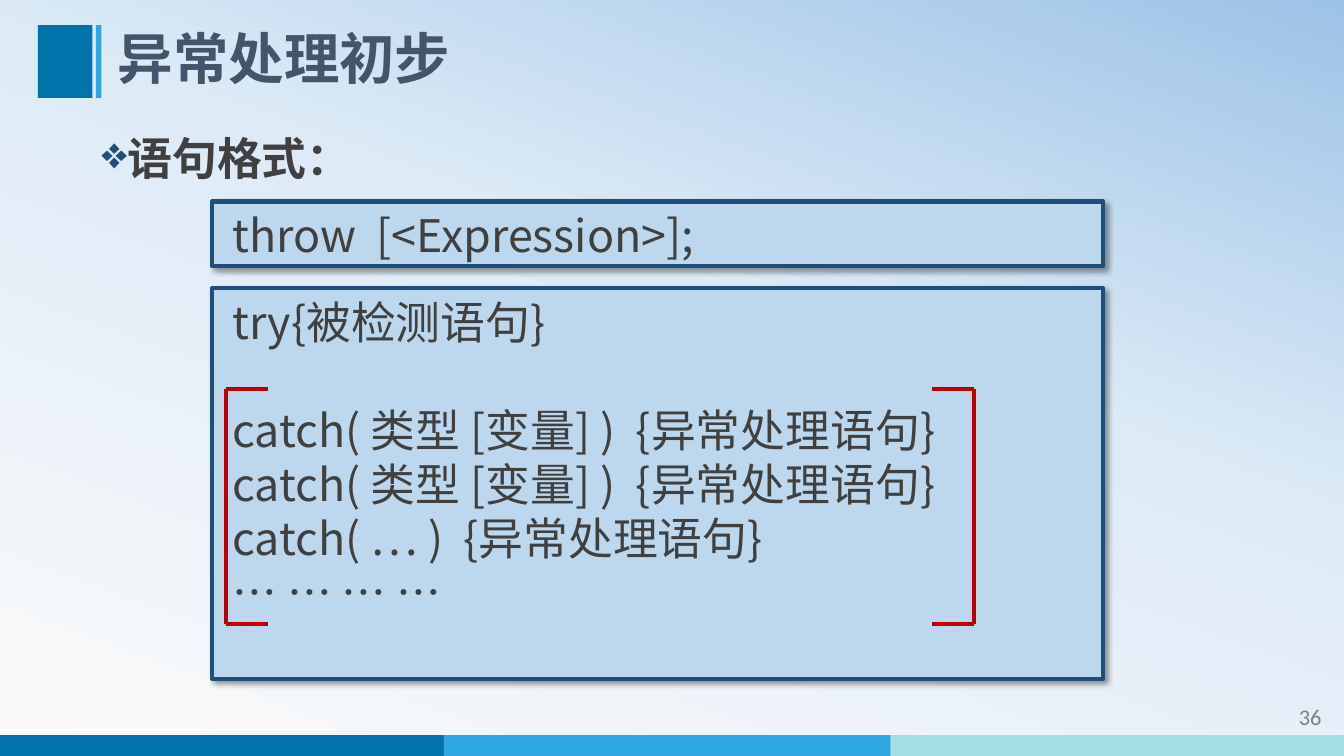
from dataclasses import dataclass
from lxml.etree import SubElement
from pptx import Presentation
from pptx.dml.color import RGBColor
from pptx.enum.shapes import MSO_CONNECTOR, MSO_SHAPE
from pptx.enum.text import MSO_ANCHOR, PP_ALIGN
from pptx.oxml.ns import qn
from pptx.util import Pt


@dataclass(frozen=True)
class Theme:
    """Colours, fonts and type sizes."""
    deep: str = "0073AB"
    bright: str = "2EA7E0"
    pale: str = "A5DEE4"
    navy: str = "1F4E79"
    panel: str = "BDD7EE"
    red: str = "C00000"
    title: str = "44546A"
    body: str = "404040"
    grey: str = "808080"
    shadow: str = "000000"
    font: str = "Noto Sans CJK SC"
    number_font: str = "Calibri"
    title_size: float = 39.6
    body_size: float = 32
    number_size: float = 16
    body_pitch: float = 38.6
    backdrop: tuple = ((0, "FAFAFA"), (58, "DEEBF7"), (100, "9DC3E6"))


T = Theme()


@dataclass(frozen=True)
class Box:
    """Place of an element, in points."""
    x: float
    y: float
    w: float
    h: float


@dataclass(frozen=True)
class Block:
    """Filled rectangle."""
    box: Box
    color: str


@dataclass(frozen=True)
class Style:
    """Character format of a text."""
    size: float
    color: str
    bold: bool = False
    font: str = T.font


@dataclass(frozen=True)
class Panel:
    """Framed code panel with a gap after its first line."""
    box: Box
    lines: tuple
    gap: float = 0


@dataclass(frozen=True)
class Bracket:
    """Square bracket made of a spine and two arms."""
    spine: float
    arm: float
    top: float = 278
    bottom: float = 446


TITLE = Style(T.title_size, T.title, True)
HEADING = Style(T.body_size, T.body, True)
CODE = Style(T.body_size, T.body)
NUMBER = Style(T.number_size, T.grey, font=T.number_font)

BLOCKS = (
    Block(Box(-2, 525, 324, 15), T.deep),
    Block(Box(317, 525, 324, 15), T.bright),
    Block(Box(636, 525, 324, 15), T.pale),
    Block(Box(27, 18, 39, 52), T.deep),
    Block(Box(68.5, 18, 4, 52), T.bright),
)
CATCH = "catch( 类型 [变量] )  {异常处理语句}"
PANELS = (
    Panel(Box(151.5, 144, 636.5, 46), ("throw  [<Expression>];",)),
    Panel(Box(151.5, 206, 636.5, 279),
          ("try{被检测语句}", CATCH, CATCH, "catch( … )  {异常处理语句}", "… … … …"),
          T.body_pitch),
)
BRACKETS = (Bracket(161.5, 191.5), Bracket(695.5, 665.5))


def apply(obj, fmt: dict) -> None:
    """Set each format value on an object."""
    for name, value in fmt.items():
        setattr(obj, name, value)


def add_color(parent, color: str):
    """Append an RGB colour element."""
    return SubElement(parent, qn("a:srgbClr"), val=color)


def write(p, text: str, style: Style, **fmt) -> None:
    """Write one formatted run into a paragraph."""
    apply(p, fmt)
    r = p.add_run()
    r.text = text
    apply(r.font, {"name": style.font, "size": Pt(style.size), "bold": style.bold})
    r.font.color.rgb = RGBColor.from_string(style.color)
    SubElement(r.font._element, qn("a:ea"), typeface=style.font)


def add_text(s, box: Box, anchor: MSO_ANCHOR):
    """Add a wrapping text box and return its first paragraph."""
    sp = s.shapes.add_textbox(Pt(box.x), Pt(box.y), Pt(box.w), Pt(box.h))
    apply(sp.text_frame, {"word_wrap": True, "vertical_anchor": anchor})
    return sp.text_frame.paragraphs[0]


def add_block(s, block: Block):
    """Add a flat filled rectangle."""
    b = block.box
    sp = s.shapes.add_shape(MSO_SHAPE.RECTANGLE, Pt(b.x), Pt(b.y), Pt(b.w), Pt(b.h))
    sp.shadow.inherit = False
    sp.fill.solid()
    sp.fill.fore_color.rgb = RGBColor.from_string(block.color)
    sp.line.fill.background()
    return sp


def add_panel(s, panel: Panel) -> None:
    """Add a framed panel with a soft shadow and code lines."""
    sp = add_block(s, Block(panel.box, T.panel))
    sp.line.color.rgb = RGBColor.from_string(T.navy)
    sp.line.width = Pt(3)
    effects = sp._element.spPr.find(qn("a:effectLst"))
    shadow = SubElement(effects, qn("a:outerShdw"), blurRad=str(Pt(4)),
                        dist=str(Pt(3)), dir="2700000", algn="tl", rotWithShape="0")
    SubElement(add_color(shadow, T.shadow), qn("a:alpha"), val="40000")
    tf = sp.text_frame
    apply(tf, {"word_wrap": True, "vertical_anchor": MSO_ANCHOR.TOP,
               "margin_left": Pt(14.4), "margin_top": Pt(4)})
    for i, line in enumerate(panel.lines):
        p = tf.add_paragraph() if i else tf.paragraphs[0]
        write(p, line, CODE, alignment=PP_ALIGN.LEFT, line_spacing=Pt(T.body_pitch),
              space_after=Pt(0 if i else panel.gap))


def add_bracket(s, bracket: Bracket) -> None:
    """Draw a bracket with three connectors."""
    b = bracket
    points = ((b.arm, b.top), (b.spine, b.top), (b.spine, b.bottom), (b.arm, b.bottom))
    for (x1, y1), (x2, y2) in zip(points, points[1:]):
        c = s.shapes.add_connector(MSO_CONNECTOR.STRAIGHT, Pt(x1), Pt(y1), Pt(x2), Pt(y2))
        c.line.color.rgb = RGBColor.from_string(T.red)
        c.line.width = Pt(3)
        SubElement(c._element.spPr, qn("a:effectLst"))


def add_backdrop(s) -> None:
    """Fill the background with the theme gradient."""
    s.background.fill.gradient()
    grad = next(s._element.iter(qn("a:gradFill")))
    for child in list(grad):
        grad.remove(child)
    stops = SubElement(grad, qn("a:gsLst"))
    for pos, color in T.backdrop:
        add_color(SubElement(stops, qn("a:gs"), pos=str(pos * 1000)), color)
    SubElement(grad, qn("a:lin"), ang=str(290 * 60000), scaled="0")


def add_heading(s, text: str) -> None:
    """Add the bulleted heading."""
    p = add_text(s, Box(65.5, 89.5, 783, 65), MSO_ANCHOR.TOP)
    pPr = p._p.get_or_add_pPr()
    apply_indent = {"marL": str(Pt(18)), "indent": str(Pt(-18))}
    for name, value in apply_indent.items():
        pPr.set(name, value)
    add_color(SubElement(pPr, qn("a:buClr")), T.navy)
    SubElement(pPr, qn("a:buChar"), char="❖")
    write(p, text, HEADING, line_spacing=Pt(T.body_pitch))


def main() -> None:
    """Build and save the slide."""
    prs = Presentation()
    apply(prs, {"slide_width": Pt(960), "slide_height": Pt(540)})
    s = prs.slides.add_slide(prs.slide_layouts[6])
    add_backdrop(s)
    for block in BLOCKS:
        add_block(s, block)
    write(add_text(s, Box(836.5, 497.5, 114.5, 29), MSO_ANCHOR.MIDDLE), "36", NUMBER,
          alignment=PP_ALIGN.RIGHT)
    write(add_text(s, Box(77, 18, 782, 52), MSO_ANCHOR.MIDDLE), "异常处理初步", TITLE,
          line_spacing=0.9)
    add_heading(s, "语句格式：")
    for panel in PANELS:
        add_panel(s, panel)
    for bracket in BRACKETS:
        add_bracket(s, bracket)
    prs.save("out.pptx")


if __name__ == "__main__":
    main()
